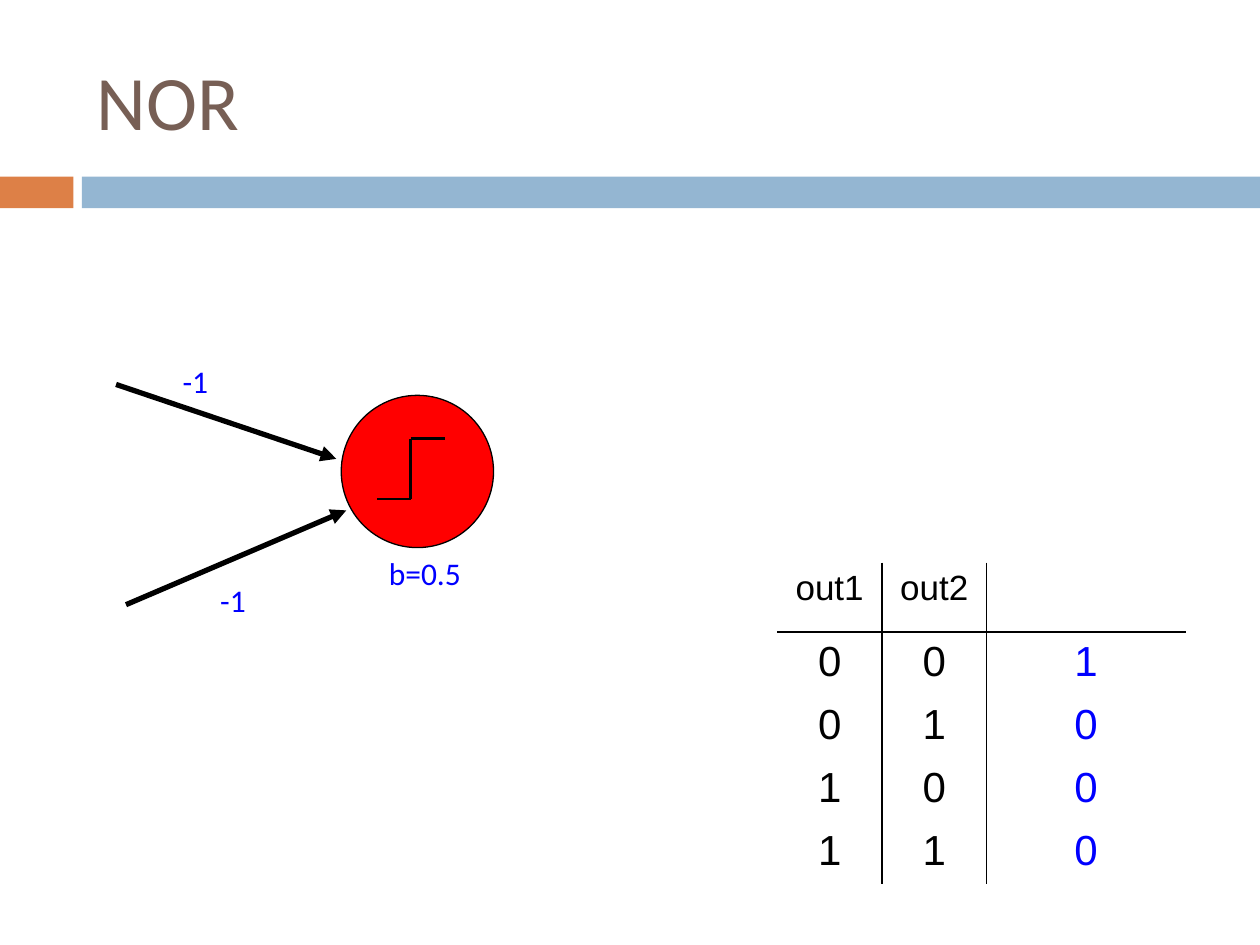
from lxml.etree import SubElement
from pptx import Presentation
from pptx.dml.color import RGBColor
from pptx.enum.shapes import MSO_CONNECTOR, MSO_SHAPE
from pptx.enum.text import MSO_ANCHOR as ANCHOR, PP_ALIGN as ALIGN
from pptx.oxml.ns import qn
from pptx.util import Cm, Pt

BLACK, BLUE, RED = "000000", "0000FF", "FF0000"
ORANGE, SKY, BROWN = "DD8047", "94B6D2", "775F55"


def rgb(value):
    return RGBColor.from_string(value)


class Slide:
    def __init__(self, prs, font="Calibri", table_font="Arial"):
        self.s = prs.slides.add_slide(prs.slide_layouts[6])
        self.font, self.table_font = font, table_font

    def style(self, p, name, size, color):
        p.font.name, p.font.size = name, Pt(size)
        p.font.color.rgb = rgb(color)

    def shape(self, kind, x, y, w, h, fill, line=None):
        sp = self.s.shapes.add_shape(kind, Cm(x), Cm(y), Cm(w), Cm(h))
        sp.shadow.inherit = False
        sp.fill.solid()
        sp.fill.fore_color.rgb = rgb(fill)
        if line:
            sp.line.color.rgb = rgb(line)
            sp.line.width = Pt(0.75)
        else:
            sp.line.fill.background()

    def line(self, start, end, width, arrow=False, shapes=None):
        points = [Cm(v) for v in (*start, *end)]
        shapes = shapes or self.s.shapes
        cn = shapes.add_connector(MSO_CONNECTOR.STRAIGHT, *points)
        cn.line.color.rgb = rgb(BLACK)
        cn.line.width = Pt(width)
        if arrow:
            SubElement(cn.line._get_or_add_ln(), qn("a:tailEnd"), type="triangle")
        SubElement(cn._element.spPr, qn("a:effectLst"))

    def polyline(self, points, width):
        group = self.s.shapes.add_group_shape()
        for start, end in zip(points, points[1:]):
            self.line(start, end, width, shapes=group.shapes)

    def text(self, text, x, y, w, h, size=18, color=BLUE, anchor=ANCHOR.TOP, wrap=True):
        tf = self.s.shapes.add_textbox(Cm(x), Cm(y), Cm(w), Cm(h)).text_frame
        tf.word_wrap, tf.vertical_anchor = wrap, anchor
        p = tf.paragraphs[0]
        p.text = text
        self.style(p, self.font, size, color)

    def borders(self, cell, visible):
        tcPr = cell._tc.get_or_add_tcPr()
        for side in "LRTB":
            if side in visible:
                ln = SubElement(tcPr, qn(f"a:ln{side}"), w=str(Pt(1)))
                fill = SubElement(ln, qn("a:solidFill"))
                SubElement(fill, qn("a:srgbClr"), val=BLACK)
            else:
                ln = SubElement(tcPr, qn(f"a:ln{side}"), w="0")
                SubElement(ln, qn("a:noFill"))

    def table(self, rows, x, y, widths, heights):
        frame = self.s.shapes.add_table(len(rows), len(widths), Cm(x), Cm(y),
                                        Cm(sum(widths)), Cm(sum(heights)))
        table = frame.table
        for col, width in zip(table.columns, widths):
            col.width = Cm(width)
        for row, height in zip(table.rows, heights):
            row.height = Cm(height)
        last = len(widths) - 1
        for i, row in enumerate(rows):
            for j, value in enumerate(row):
                cell = table.cell(i, j)
                # Rules between columns and below the header only
                visible = ("L" if j else "") + ("R" if j < last else "")
                visible += {0: "B", 1: "T"}.get(i, "")
                self.borders(cell, visible)
                cell.fill.background()
                p = cell.text_frame.paragraphs[0]
                p.text, p.alignment = value, ALIGN.CENTER
                self.style(p, self.table_font, 24 if i else 20,
                           BLUE if j == last else BLACK)


def main():
    prs = Presentation()
    prs.slide_width, prs.slide_height = Cm(25.4), Cm(19.05)
    s = Slide(prs)

    # Title and band
    s.shape(MSO_SHAPE.RECTANGLE, 0, 3.56, 1.48, 0.64, ORANGE)
    s.shape(MSO_SHAPE.RECTANGLE, 1.65, 3.56, 23.75, 0.64, SKY)
    s.text("NOR", 1.7, 0.64, 22.66, 2.74, 44, BROWN, ANCHOR.MIDDLE)

    # Neuron with its two inputs and step function
    s.shape(MSO_SHAPE.OVAL, 6.88, 7.97, 3.07, 3.07, RED, BLACK)
    s.line((2.34, 7.75), (6.78, 9.25), 3, arrow=True)
    s.line((2.54, 12.19), (6.98, 10.29), 3, arrow=True)
    s.polyline([(8.97, 8.84), (8.28, 8.84), (8.28, 10.06), (7.59, 10.06)], 1.5)

    # Weights and bias
    s.text("-1", 3.43, 6.91, 1.57, 1.27, anchor=ANCHOR.BOTTOM)
    s.text("-1", 4.19, 11.33, 1.5, 1.27, anchor=ANCHOR.BOTTOM)
    s.text("b=0.5", 7.59, 11.05, 2.13, 1.02, wrap=False)

    # Truth table
    inputs = [(a, b) for a in (0, 1) for b in (0, 1)]
    rows = [("out1", "out2", "")]
    rows += [(str(a), str(b), str(int(not (a or b)))) for a, b in inputs]
    s.table(rows, 15.67, 11.34, [2.11, 2.11, 4.01], [1.4] + [1.27] * 4)

    prs.save("out.pptx")


if __name__ == "__main__":
    main()
